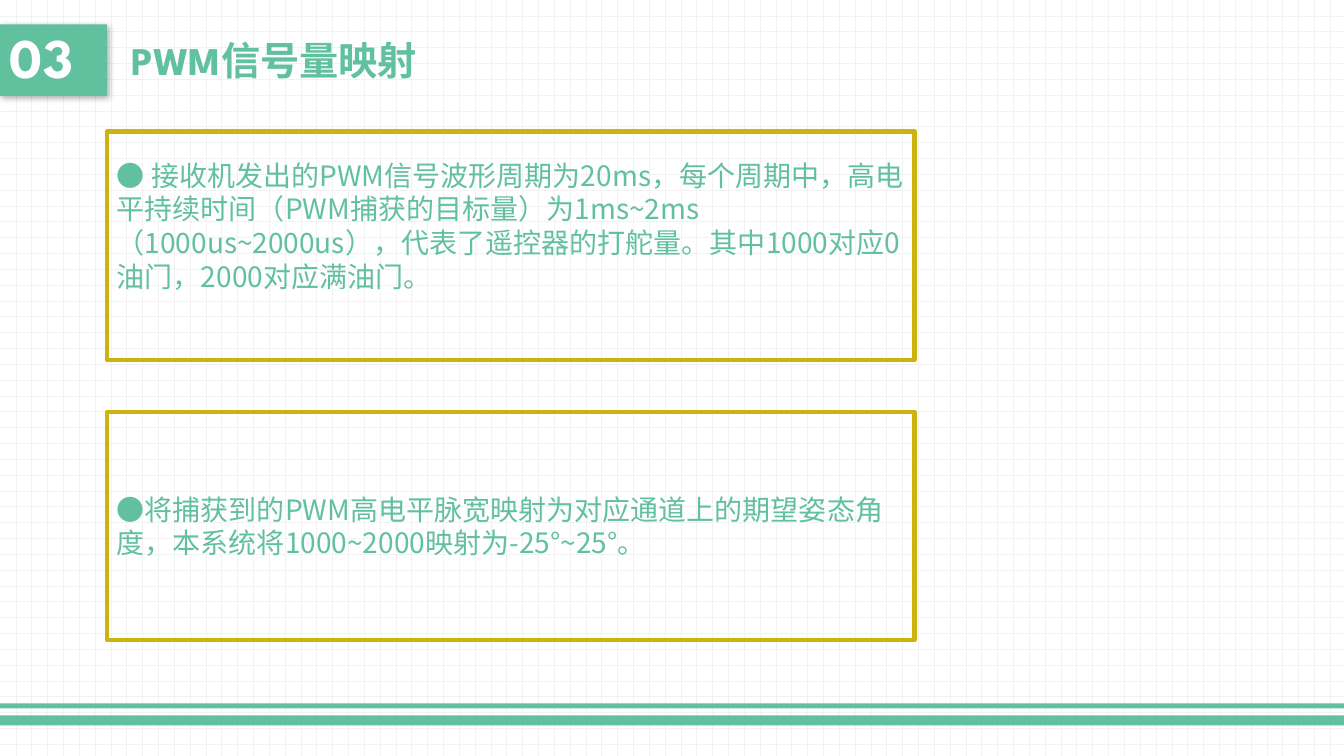
from dataclasses import dataclass

import lxml.etree
import pptx
import pptx.dml.color
import pptx.enum.dml
import pptx.enum.shapes
import pptx.enum.text
import pptx.oxml.ns
import pptx.util

Pt = pptx.util.Pt
RGBColor = pptx.dml.color.RGBColor
qn = pptx.oxml.ns.qn

GREEN = RGBColor(0x61, 0xC0, 0x9E)
GOLD = RGBColor(0xCC, 0xB4, 0x10)
WHITE = RGBColor(0xFF, 0xFF, 0xFF)
GRID_GREY = RGBColor(0xF2, 0xF2, 0xF2)

HEADING_FONT = "League Spartan"
BODY_FONT = "Noto Sans CJK SC"

SLIDE_WIDTH, SLIDE_HEIGHT = 960, 540
HEADER_TOP, HEADER_HEIGHT = 17.5, 51
BADGE_WIDTH = 76.3


@dataclass(frozen=True)
class Bar:
    top: float
    height: float


@dataclass(frozen=True)
class Note:
    top: float
    text: str
    bottom_inset: float = 3.6


FOOTER_BARS = [Bar(511, 7.2), Bar(502.5, 3.6)]
NOTES = [
    Note(94, "● 接收机发出的PWM信号波形周期为20ms，每个周期中，高电平持续时间"
             "（PWM捕获的目标量）为1ms~2ms（1000us~2000us），代表了遥控器的打舵量。"
             "其中1000对应0油门，2000对应满油门。", bottom_inset=32.4),
    Note(294.2, "●将捕获到的PWM高电平脉宽映射为对应通道上的期望姿态角度，"
                "本系统将1000~2000映射为-25°~25°。"),
]


def add_rectangle(slide, left: float, top: float, width: float, height: float,
                  fill: RGBColor | None = None, line: RGBColor | None = None):
    rectangle = slide.shapes.add_shape(
        pptx.enum.shapes.MSO_SHAPE.RECTANGLE, Pt(left), Pt(top), Pt(width), Pt(height))
    rectangle.shadow.inherit = False
    if fill is None:
        rectangle.fill.background()
    else:
        rectangle.fill.solid()
        rectangle.fill.fore_color.rgb = fill
    if line is None:
        rectangle.line.fill.background()
    else:
        rectangle.line.color.rgb = line
        rectangle.line.width = Pt(3)
    return rectangle


def write_text(shape, text: str, *, size: float, font: str, color: RGBColor,
               bold: bool = False, line_spacing=None, bottom_inset: float = 3.6) -> None:
    frame = shape.text_frame
    frame.word_wrap = True
    frame.vertical_anchor = pptx.enum.text.MSO_ANCHOR.MIDDLE
    frame.margin_bottom = Pt(bottom_inset)
    paragraph = frame.paragraphs[0]
    paragraph.alignment = pptx.enum.text.PP_ALIGN.LEFT
    paragraph.line_spacing = line_spacing
    run = paragraph.add_run()
    run.text = text
    run.font.size = Pt(size)
    run.font.bold = bold
    run.font.name = font
    run.font.color.rgb = color
    # East Asian glyphs
    lxml.etree.SubElement(run.font._element, qn("a:ea"), typeface=BODY_FONT)


def add_soft_shadow(shape) -> None:
    effects = shape.element.spPr.find(qn("a:effectLst"))
    shadow = lxml.etree.SubElement(
        effects, qn("a:outerShdw"), blurRad=str(Pt(5)), dist=str(Pt(2)),
        dir="2700000", algn="tl", rotWithShape="0")
    black = lxml.etree.SubElement(shadow, qn("a:srgbClr"), val="000000")
    lxml.etree.SubElement(black, qn("a:alpha"), val="35000")


def main() -> None:
    presentation = pptx.Presentation()
    presentation.slide_width = Pt(SLIDE_WIDTH)
    presentation.slide_height = Pt(SLIDE_HEIGHT)
    slide = presentation.slides.add_slide(presentation.slide_layouts[6])

    # Grid background
    background = slide.background.fill
    background.patterned()
    background.pattern = pptx.enum.dml.MSO_PATTERN.DOTTED_GRID
    background.fore_color.rgb = GRID_GREY
    background.back_color.rgb = WHITE

    # Footer bars
    for bar in FOOTER_BARS:
        add_rectangle(slide, 0, bar.top, SLIDE_WIDTH, bar.height, fill=GREEN)

    # Section number and heading
    section_number = add_rectangle(
        slide, 0, HEADER_TOP, BADGE_WIDTH, HEADER_HEIGHT, fill=GREEN)
    add_soft_shadow(section_number)
    write_text(section_number, "03", size=40, font=HEADING_FONT, color=WHITE,
               bold=True, line_spacing=0.9)
    heading = slide.shapes.add_textbox(
        Pt(87), Pt(HEADER_TOP), Pt(507), Pt(HEADER_HEIGHT))
    write_text(heading, "PWM信号量映射", size=28, font=HEADING_FONT, color=GREEN, bold=True)

    # Framed notes
    for note in NOTES:
        frame = add_rectangle(slide, BADGE_WIDTH, note.top, 577, 163, line=GOLD)
        write_text(frame, note.text, size=20, font=BODY_FONT, color=GREEN,
                   line_spacing=Pt(24), bottom_inset=note.bottom_inset)

    presentation.save("out.pptx")


if __name__ == "__main__":
    main()
